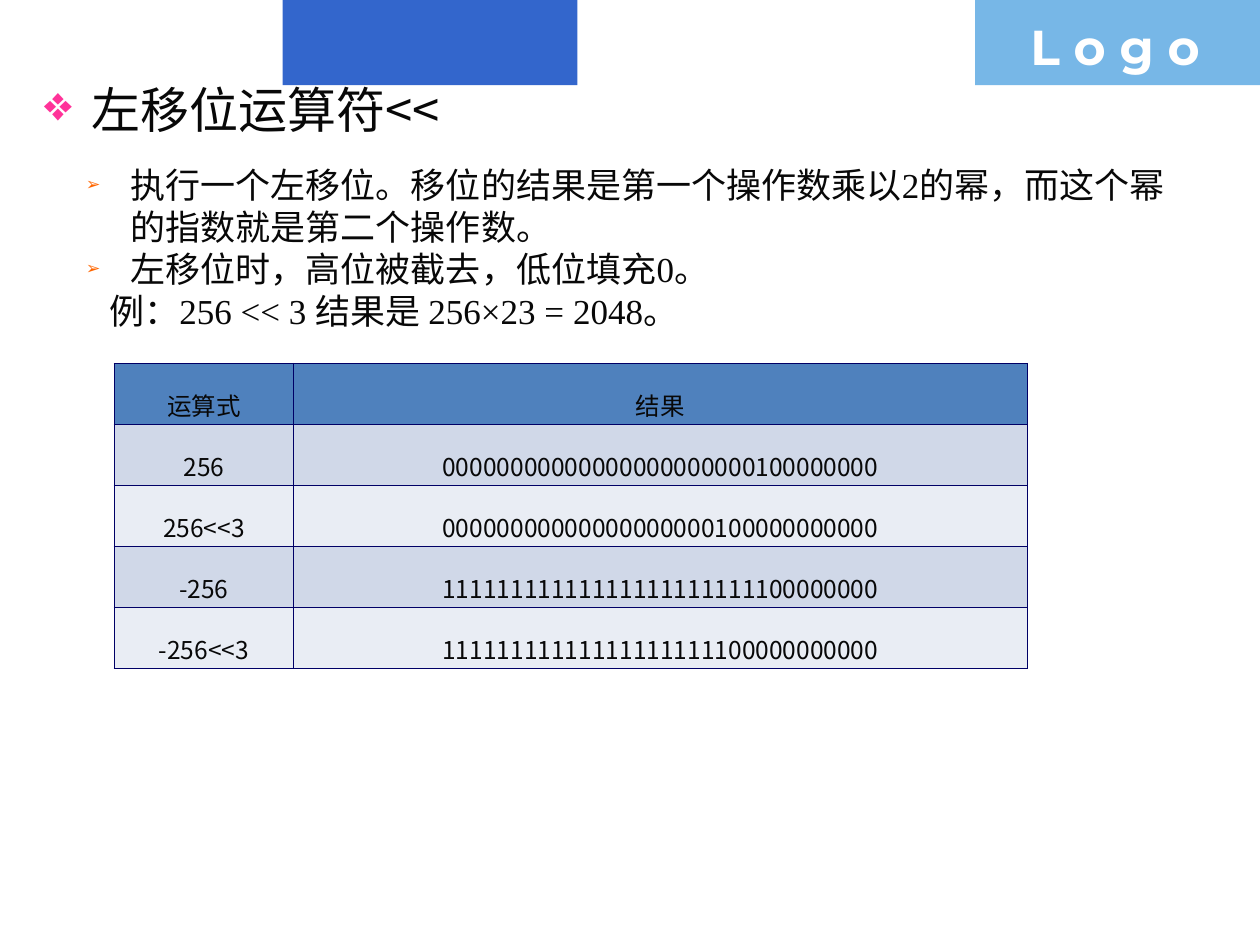
"""Build the slide on the left shift operator."""
from lxml import etree
from pptx import Presentation, util as u
from pptx.dml.color import RGBColor
from pptx.enum import shapes, text
from pptx.oxml.ns import qn

INK, WHITE, BORDER = "080808", "FFFFFF", "000066"
HEADER, BANDS = "4F81BD", ("D0D8E8", "E9EDF4")
SANS, SERIF = "Noto Sans CJK SC", "Times New Roman"

HEADING = "左移位运算符<<"
POINTS = [
    "执行一个左移位。移位的结果是第一个操作数乘以2的幂，而这个幂的指数就是第二个操作数。",
    "左移位时，高位被截去，低位填充0。",
]
EXAMPLE = "例：256 << 3 结果是 256×23 = 2048。"
ROWS = [
    ("运算式", "结果"),
    ("256", "00000000000000000000000100000000"),
    ("256<<3", "00000000000000000000100000000000"),
    ("-256", "11111111111111111111111100000000"),
    ("-256<<3", "11111111111111111111100000000000"),
]
BANNERS = [(5.7, 5.94, "3366CC"), (19.66, 5.74, "77B7E7")]
COLUMNS = (3.62, 14.79)
ROW_HEIGHT = 1.23


def rgb(code):
    return RGBColor.from_string(code)


def add_xml(parent, tag, **attributes):
    return etree.SubElement(parent, qn(tag), attributes)


def write(paragraph, words, size=20, font=SERIF, color=INK, bold=False,
          align=text.PP_ALIGN.LEFT, spacing=None, left=0, hanging=0, bullet=None):
    run = paragraph.add_run()
    run.text = words
    run.font.size, run.font.name, run.font.bold = u.Pt(size), font, bold
    run.font.color.rgb = rgb(color)
    add_xml(run.font._element, "a:ea", typeface=SANS)
    paragraph.alignment = align
    paragraph.space_before = paragraph.space_after = u.Pt(0)
    paragraph.line_spacing = spacing or 1.0
    props = paragraph._p.get_or_add_pPr()
    props.set("marL", str(u.Cm(left)))
    props.set("indent", str(-u.Cm(hanging)))
    if bullet:
        mark, tint, percent = bullet
        add_xml(add_xml(props, "a:buClr"), "a:srgbClr", val=tint)
        add_xml(props, "a:buSzPct", val=str(percent * 1000))
        add_xml(props, "a:buChar", char=mark)
    else:
        add_xml(props, "a:buNone")


def place(holder, left, top, width, height):
    holder.left, holder.top = u.Cm(left), u.Cm(top)
    holder.width, holder.height = u.Cm(width), u.Cm(height)
    frame = holder.text_frame
    frame.word_wrap = True
    frame.auto_size = text.MSO_AUTO_SIZE.NONE
    frame.vertical_anchor = text.MSO_ANCHOR.TOP
    frame.margin_left = frame.margin_right = u.Cm(0.25)
    frame.margin_top = frame.margin_bottom = u.Cm(0.13)
    return frame


def add_borders(cell):
    props = cell._tc.get_or_add_tcPr()
    for position, side in enumerate(("a:lnL", "a:lnR", "a:lnT", "a:lnB")):
        line = etree.Element(qn(side), {"w": str(u.Pt(0.45))})
        add_xml(add_xml(line, "a:solidFill"), "a:srgbClr", val=BORDER)
        props.insert(position, line)


deck = Presentation()
deck.slide_width, deck.slide_height = u.Cm(25.4), u.Cm(19.05)
slide = deck.slides.add_slide(deck.slide_layouts[1])

for left, width, tint in BANNERS:
    banner = slide.shapes.add_shape(shapes.MSO_SHAPE.RECTANGLE,
                                    u.Cm(left), 0, u.Cm(width), u.Cm(1.72))
    banner.shadow.inherit = False
    banner.fill.solid()
    banner.fill.fore_color.rgb = rgb(tint)
    banner.line.fill.background()
    slide.shapes.title._element.addprevious(banner._element)

label = place(slide.shapes.add_textbox(0, 0, 0, 0), 20.52, 0.2, 4.9, 1.45)
write(label.paragraphs[0], "L o g o", size=28, font="Montserrat", color=WHITE, bold=True)

heading = place(slide.shapes.title, 0.64, 1.48, 24.13, 1.52)
write(heading.paragraphs[0], HEADING, size=28, font=SANS, left=0.96, hanging=0.96,
      bullet=("❖", "FF3399", 100))

body = place(slide.placeholders[1], 1.48, 3.16, 22.43, 3.66)
for index, point in enumerate(POINTS):
    paragraph = body.add_paragraph() if index else body.paragraphs[0]
    write(paragraph, point, spacing=u.Pt(24), left=0.9, hanging=0.9,
          bullet=("➢", "FF6600", 50))
write(body.add_paragraph(), EXAMPLE, spacing=u.Pt(24), left=0.47)

results = slide.shapes.add_table(len(ROWS), len(COLUMNS), u.Cm(2.3), u.Cm(7.32),
                                 u.Cm(sum(COLUMNS)), u.Cm(ROW_HEIGHT * len(ROWS))).table
for column, width in zip(results.columns, COLUMNS):
    column.width = u.Cm(width)
for r, values in enumerate(ROWS):
    results.rows[r].height = u.Cm(ROW_HEIGHT)
    for c, value in enumerate(values):
        cell = results.cell(r, c)
        cell.fill.solid()
        cell.fill.fore_color.rgb = rgb(BANDS[(r - 1) % 2] if r else HEADER)
        cell.vertical_anchor = text.MSO_ANCHOR.BOTTOM
        cell.margin_bottom = u.Cm(0.03)
        write(cell.text_frame.paragraphs[0], value, size=14, font=SANS,
              align=text.PP_ALIGN.CENTER)
        add_borders(cell)

deck.save("out.pptx")
